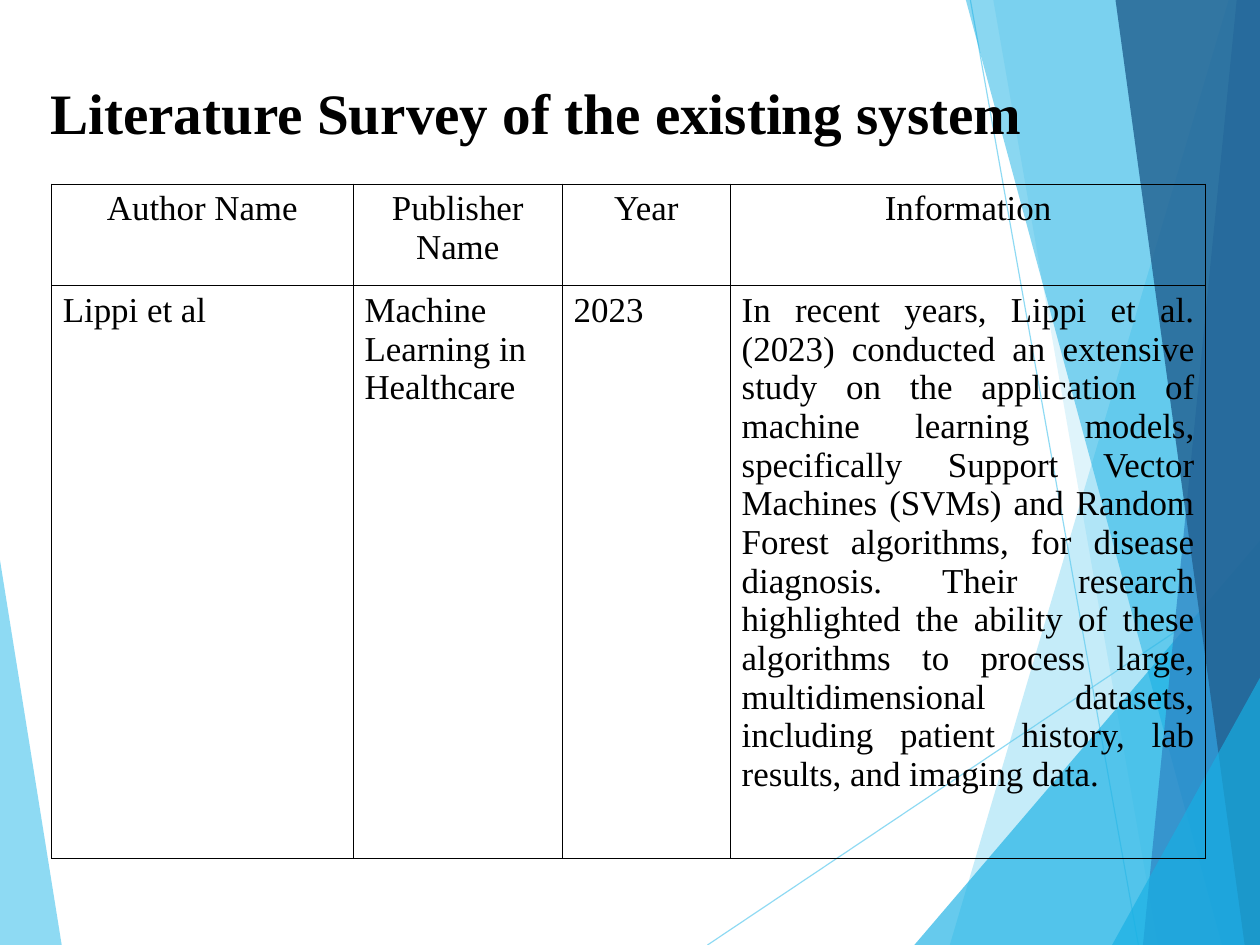
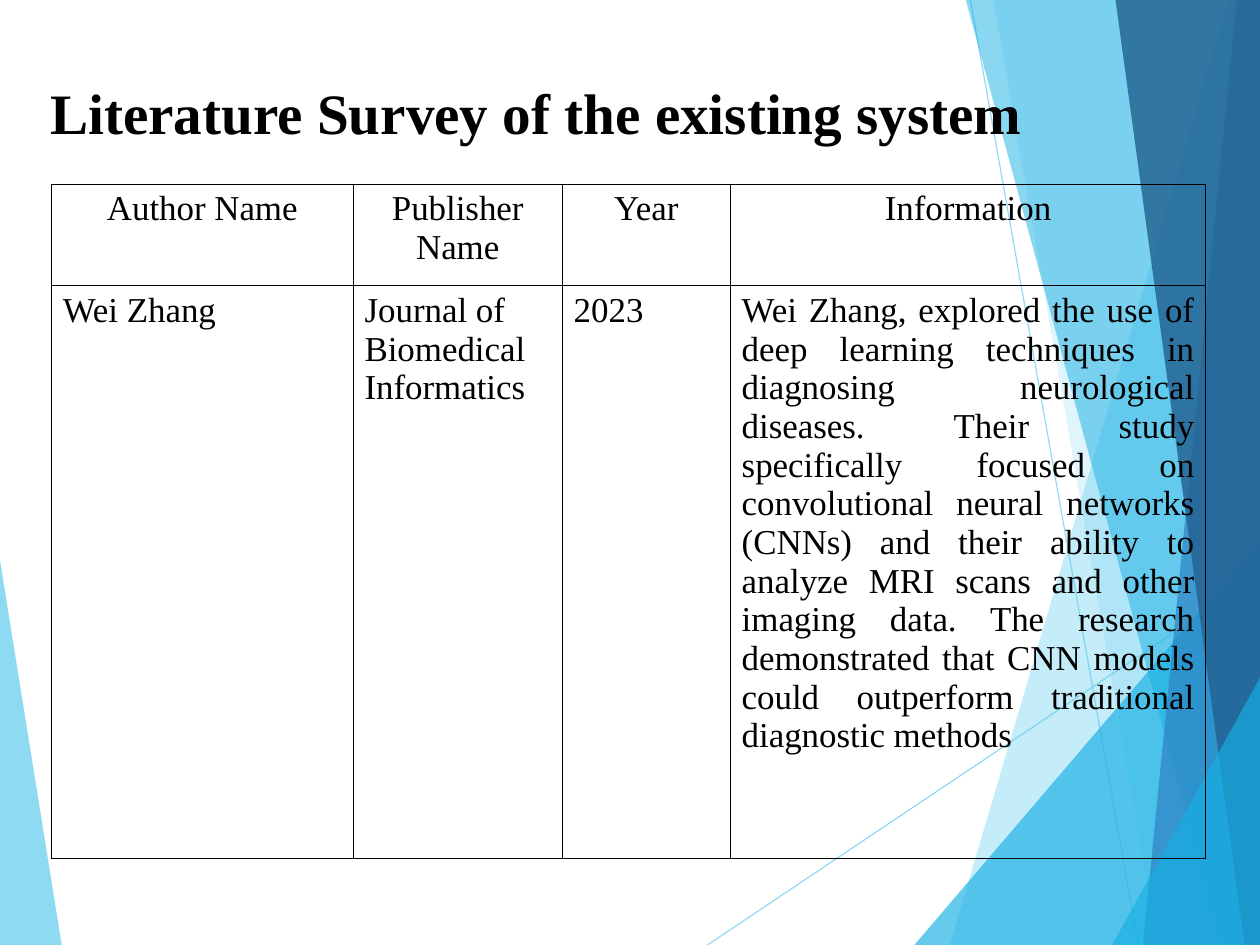
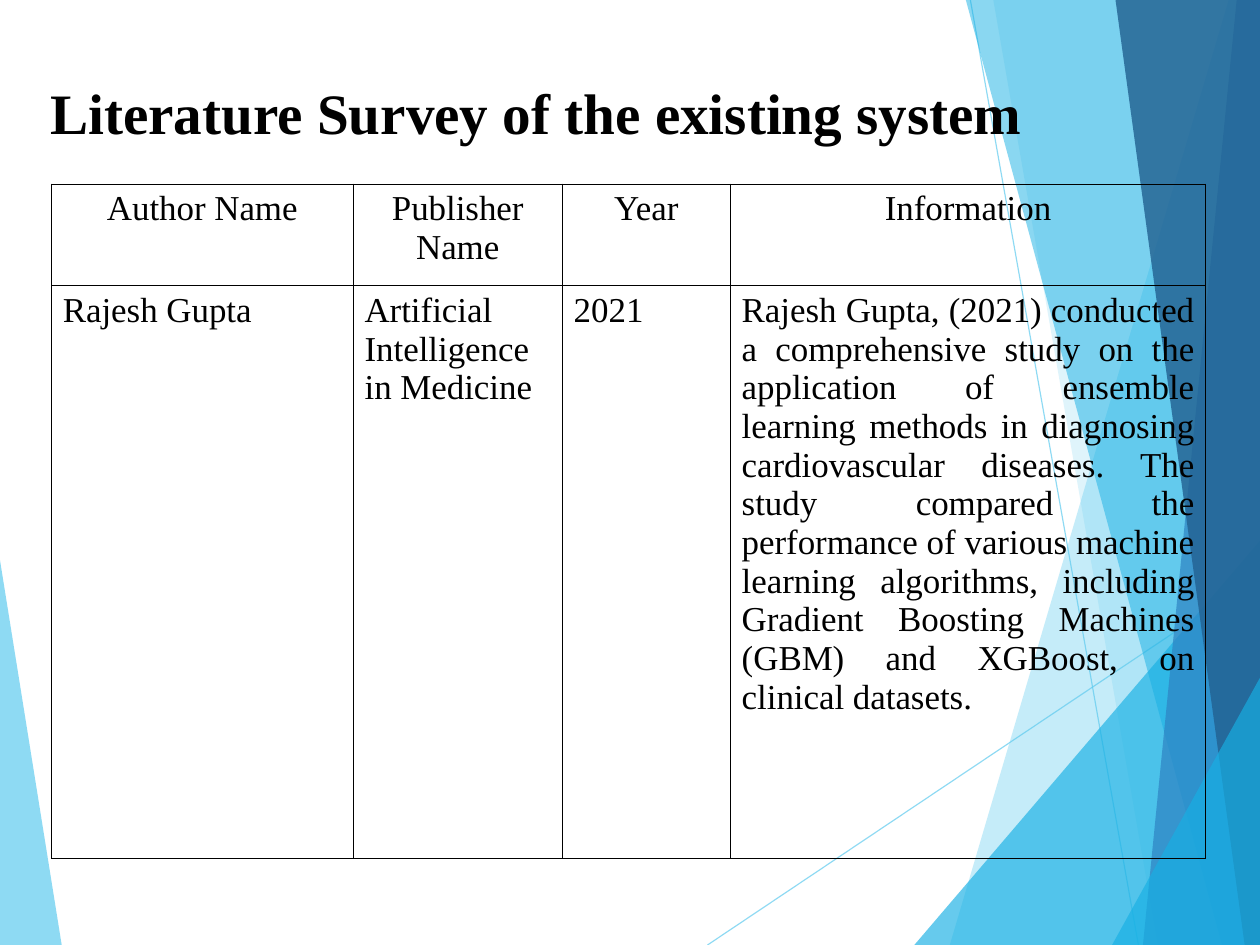
from lxml.etree import SubElement
from pptx import Presentation
from pptx.dml.color import RGBColor
from pptx.enum.shapes import MSO_CONNECTOR
from pptx.enum.text import MSO_ANCHOR, MSO_AUTO_SIZE, PP_ALIGN as Align
from pptx.oxml.ns import qn
from pptx.util import Cm, Inches, Pt

PAGE_WIDTH, PAGE_HEIGHT = Cm(28), Cm(21)
WIDTH, HEIGHT = PAGE_WIDTH.inches, PAGE_HEIGHT.inches
FONT = "Times New Roman"
BLACK, SKY, AZURE, BLUE, NAVY = "000000", "5FCBEF", "17B0E4", "2E83C3", "236292"

TITLE = "Literature Survey of the existing system"
HEADINGS = ["Author Name", "Publisher Name", "Year", "Information"]
SURVEYS = [
    ["Lippi et al", "Machine Learning in Healthcare", "2023",
     "In recent years, Lippi et al. (2023) conducted an extensive study on the application of "
     "machine learning models, specifically Support Vector Machines (SVMs) and Random Forest "
     "algorithms, for disease diagnosis. Their research highlighted the ability of these "
     "algorithms to process large, multidimensional datasets, including patient history, lab "
     "results, and imaging data."],
    ["Wei Zhang", "Journal of Biomedical Informatics", "2023",
     "Wei Zhang, explored the use of deep learning techniques in diagnosing neurological "
     "diseases. Their study specifically focused on convolutional neural networks (CNNs) and "
     "their ability to analyze MRI scans and other imaging data. The research demonstrated that "
     "CNN models could outperform traditional diagnostic methods"],
    ["Rajesh Gupta", "Artificial Intelligence in Medicine", "2021",
     "Rajesh Gupta, (2021) conducted a comprehensive study on the application of ensemble "
     "learning methods in diagnosing cardiovascular diseases. The study compared the performance "
     "of various machine learning algorithms, including Gradient Boosting Machines (GBM) and "
     "XGBoost, on clinical datasets."],
]

TITLE_AREA = (0.31, 0.3, 9.92, 1.38)
TITLE_INDENT = 0.13
TABLE_CORNER = (0.45, 1.61)
COLUMNS = [2.64, 1.83, 1.47, 4.16]
ROWS = [0.89, 5.01]
BODY_ALIGN = [Align.LEFT, Align.LEFT, Align.LEFT, Align.JUSTIFY]

RAYS = [((6.19, HEIGHT), (WIDTH, 5.03)), ((8.49, 0), (9.96, HEIGHT))]
RIGHT_TOP, RIGHT_FOOT = (WIDTH, 0), (WIDTH, HEIGHT)
LEFT_FACET = ([(0, 4.9), (0.54, HEIGHT), (0, HEIGHT)], SKY, 70)
RIGHT_FACETS = [
    ([(10.75, 0), (8.31, HEIGHT), RIGHT_FOOT, RIGHT_TOP], SKY, 36),
    ([(8.69, 0), (10.13, HEIGHT), RIGHT_FOOT, RIGHT_TOP], SKY, 20),
    ([(8, HEIGHT), (WIDTH, 4.73), RIGHT_FOOT], AZURE, 66),
    ([(8.45, 0), (10.69, HEIGHT), RIGHT_FOOT, RIGHT_TOP], AZURE, 50),
    ([(10.82, 0), (10, HEIGHT), RIGHT_FOOT, RIGHT_TOP], BLUE, 70),
    ([(9.76, 0), (10.89, HEIGHT), RIGHT_FOOT, RIGHT_TOP], NAVY, 82),
    ([(9.73, HEIGHT), (WIDTH, 5.93), RIGHT_FOOT], AZURE, 66),
]


def paint(fill, color, opacity):
    fill.solid()
    fill.fore_color.rgb = RGBColor.from_string(color)
    properties = fill._xPr
    for tone in properties.iter(qn("a:srgbClr")):
        SubElement(tone, qn("a:alpha"), val=str(opacity * 1000))


def draw_facet(page, points, color, opacity):
    start, *others = [(Inches(x), Inches(y)) for x, y in points]
    builder = page.shapes.build_freeform(*start)
    builder.add_line_segments(others)
    facet = builder.convert_to_shape()
    facet.shadow.inherit = False
    facet.line.fill.background()
    paint(facet.fill, color, opacity)
    return facet


def draw_ray(page, start, end):
    ray = page.shapes.add_connector(
        MSO_CONNECTOR.STRAIGHT, *[Inches(value) for value in start + end])
    ray.line.width = Pt(0.75)
    paint(ray.line.fill, SKY, 70)
    SubElement(ray.element.spPr, qn("a:effectLst"))
    return ray


def move_backdrop(page, layout):
    backdrop = [draw_facet(page, *LEFT_FACET)]
    backdrop += [draw_ray(page, *ray) for ray in RAYS]
    backdrop += [draw_facet(page, *facet) for facet in RIGHT_FACETS]
    for shape in backdrop:
        layout.shapes.element.append(shape.element)


def prepare_layout(layout):
    for holder in list(layout.placeholders):
        if holder.placeholder_format.idx:
            holder.element.getparent().remove(holder.element)
    title = layout.placeholders[0]
    title.left, title.top, title.width, title.height = map(Inches, TITLE_AREA)


def write(frame, text, size=22, bold=False, align=Align.LEFT, spacing=None):
    para = frame.paragraphs[0]
    para.alignment = align
    para.line_spacing = spacing
    span = para.add_run()
    span.text = text
    span.font.name = FONT
    span.font.size = Pt(size)
    span.font.bold = bold
    span.font.color.rgb = RGBColor.from_string(BLACK)


def add_title(page):
    frame = page.shapes.title.text_frame
    frame.word_wrap = True
    frame.auto_size = MSO_AUTO_SIZE.NONE
    frame.vertical_anchor = MSO_ANCHOR.MIDDLE
    frame.margin_left = Inches(TITLE_INDENT)
    frame.margin_right = frame.margin_bottom = 0
    frame.margin_top = Inches(0.03)
    write(frame, TITLE, size=36, bold=True, spacing=0.93)


def border(cell):
    properties = cell._tc.get_or_add_tcPr()
    for side in ("a:lnL", "a:lnR", "a:lnT", "a:lnB"):
        line = SubElement(properties, qn(side), w=str(Pt(0.45)))
        SubElement(SubElement(line, qn("a:solidFill")), qn("a:srgbClr"), val=BLACK)


def add_survey(page, survey):
    area = TABLE_CORNER + (sum(COLUMNS), sum(ROWS))
    table = page.shapes.add_table(len(ROWS), len(COLUMNS), *map(Inches, area)).table
    table.first_row = table.horz_banding = False
    for column, width in zip(table.columns, COLUMNS):
        column.width = Inches(width)
    for row, height in zip(table.rows, ROWS):
        row.height = Inches(height)
    lines = [(HEADINGS, [Align.CENTER] * len(COLUMNS)), (survey, BODY_ALIGN)]
    for row, (texts, aligns) in zip(table.rows, lines):
        for cell, text, align in zip(row.cells, texts, aligns):
            border(cell)
            cell.fill.background()
            write(cell.text_frame, text, align=align)


def main():
    deck = Presentation()
    deck.slide_width, deck.slide_height = PAGE_WIDTH, PAGE_HEIGHT
    layout = deck.slide_layouts.get_by_name("Title Only")
    prepare_layout(layout)
    pages = [deck.slides.add_slide(layout) for _ in SURVEYS]
    move_backdrop(pages[0], layout)
    for page, survey in zip(pages, SURVEYS):
        add_title(page)
        add_survey(page, survey)
    deck.save("out.pptx")


if __name__ == "__main__":
    main()
